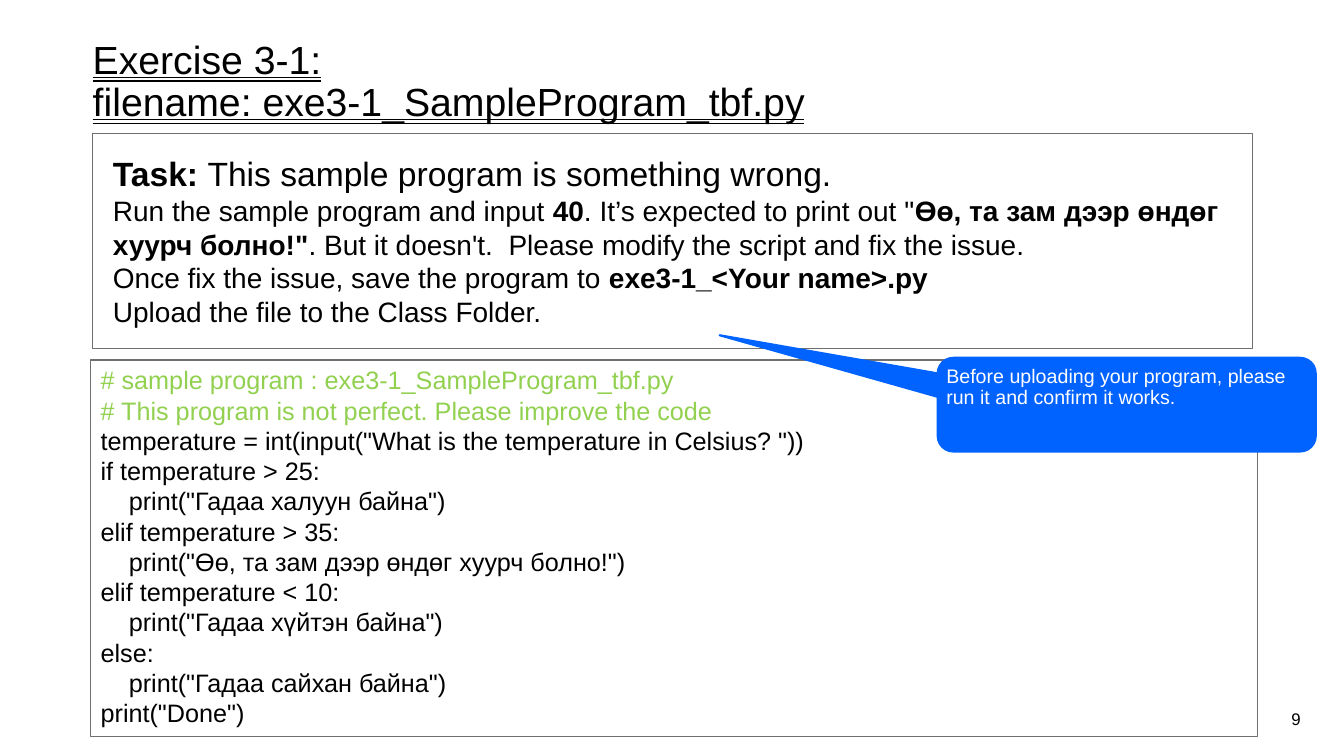
from pptx import Presentation
from pptx.dml.color import RGBColor as Rgb
from pptx.enum.shapes import MSO_SHAPE as Kind
from pptx.enum.text import MSO_ANCHOR as Anchor, MSO_UNDERLINE as Under, PP_ALIGN as Align
from pptx.util import Pt

PX = 9144  # 100 px to the inch
HUES = {"ink": "000000", "edge": "6F6F6F", "note": "92D050",
        "blue": "0062FF", "white": "FFFFFF"}
TITLE = ["Exercise 3-1:", "filename: exe3-1_SampleProgram_tbf.py"]
# Odd pieces between ** marks are bold.
TASK = "**Task: **This sample program is something wrong."
STEPS = [
    "Run the sample program and input **40**. It’s expected to print out \""
    "**Өө, та зам дээр өндөг хуурч болно!\"**. But it doesn't.  "
    "Please modify the script and fix the issue.",
    "Once fix the issue, save the program to **exe3-1_<Your name>.py**",
    "Upload the file to the Class Folder.",
]
NOTES = ["# sample program : exe3-1_SampleProgram_tbf.py",
         "# This program is not perfect. Please improve the code"]
# Each code line: indent level, text
CODE = [
    (0, 'temperature = int(input("What is the temperature in Celsius? "))'),
    (0, "if temperature > 25:"),
    (1, 'print("Гадаа халуун байна")'),
    (0, "elif temperature > 35:"),
    (1, 'print("Өө, та зам дээр өндөг хуурч болно!")'),
    (0, "elif temperature < 10:"),
    (1, 'print("Гадаа хүйтэн байна")'),
    (0, "else:"),
    (1, 'print("Гадаа сайхан байна")'),
    (0, 'print("Done")'),
]
TIP = "Before uploading your program, please run it and confirm it works."


def color(name):
    return Rgb.from_string(HUES[name])


def emu(box):
    return [v * PX for v in box]


def frame(shape, side, top):
    """Set the insets, wrapping and top anchor of a shape's text."""
    body = shape.text_frame
    body.word_wrap = True
    body.vertical_anchor = Anchor.TOP
    body.margin_left = body.margin_right = side * PX
    body.margin_top = body.margin_bottom = top * PX
    return body


def write(body, text, size, hue="ink", align=Align.LEFT, gap=None,
          indent=0, under=None):
    """Add one paragraph, using the empty first one if it is free."""
    first = body.paragraphs[0]
    para = body.add_paragraph() if first.runs else first
    para.alignment = align
    para.line_spacing = gap
    if indent:
        para._p.get_or_add_pPr().set("marL", str(indent * PX))
    for i, part in enumerate(text.split("**")):
        if part:
            run = para.add_run()
            run.text = part
            font = run.font
            font.name, font.size, font.bold = "Arial", Pt(size), i % 2 == 1
            font.color.rgb = color(hue)
            font.underline = under


def panel(slide, box, edge, width, kind=Kind.RECTANGLE, fill=None):
    shape = slide.shapes.add_shape(kind, *emu(box))
    shape.shadow.inherit = False
    if fill:
        shape.fill.solid()
        shape.fill.fore_color.rgb = color(fill)
    else:
        shape.fill.background()
    shape.line.color.rgb = color(edge)
    shape.line.width = Pt(width)
    return shape


def title(slide, box):
    body = frame(slide.shapes.add_textbox(*emu(box)), 0, 0)
    for line in TITLE:
        write(body, line, 28, gap=0.9, under=Under.DOUBLE_LINE)


def task(slide, box):
    body = frame(panel(slide, box, "edge", 0.75), 20, 20)
    write(body, TASK, 24)
    for step in STEPS:
        write(body, step, 20)


def number(slide, box):
    body = frame(slide.shapes.add_textbox(*emu(box)), 10, 5)
    write(body, "9", 12, align=Align.RIGHT)


def code(slide, box):
    body = frame(panel(slide, box, "edge", 1), 10, 5)
    for line in NOTES:
        write(body, line, 18, "note")
    for level, line in CODE:
        write(body, line, 18, indent=level * 28)


def tip(slide, box):
    shape = panel(slide, box, "blue", 1.5,
                  Kind.ROUNDED_RECTANGULAR_CALLOUT, "blue")
    for i, value in enumerate((-1.077, -0.741, 0.167)):
        shape.adjustments[i] = value
    write(frame(shape, 4, 4), TIP, 14, "white", gap=0.9)


def main():
    deck = Presentation()
    deck.slide_width, deck.slide_height = emu((1333, 750))
    slide = deck.slides.add_slide(deck.slide_layouts[6])
    title(slide, (92, 40, 1150, 78))
    task(slide, (92, 132, 1150, 214))
    number(slide, (1033, 698, 267, 24))
    code(slide, (90, 357, 1157, 374))
    tip(slide, (930, 355, 375, 93))
    deck.save("out.pptx")


if __name__ == "__main__":
    main()
